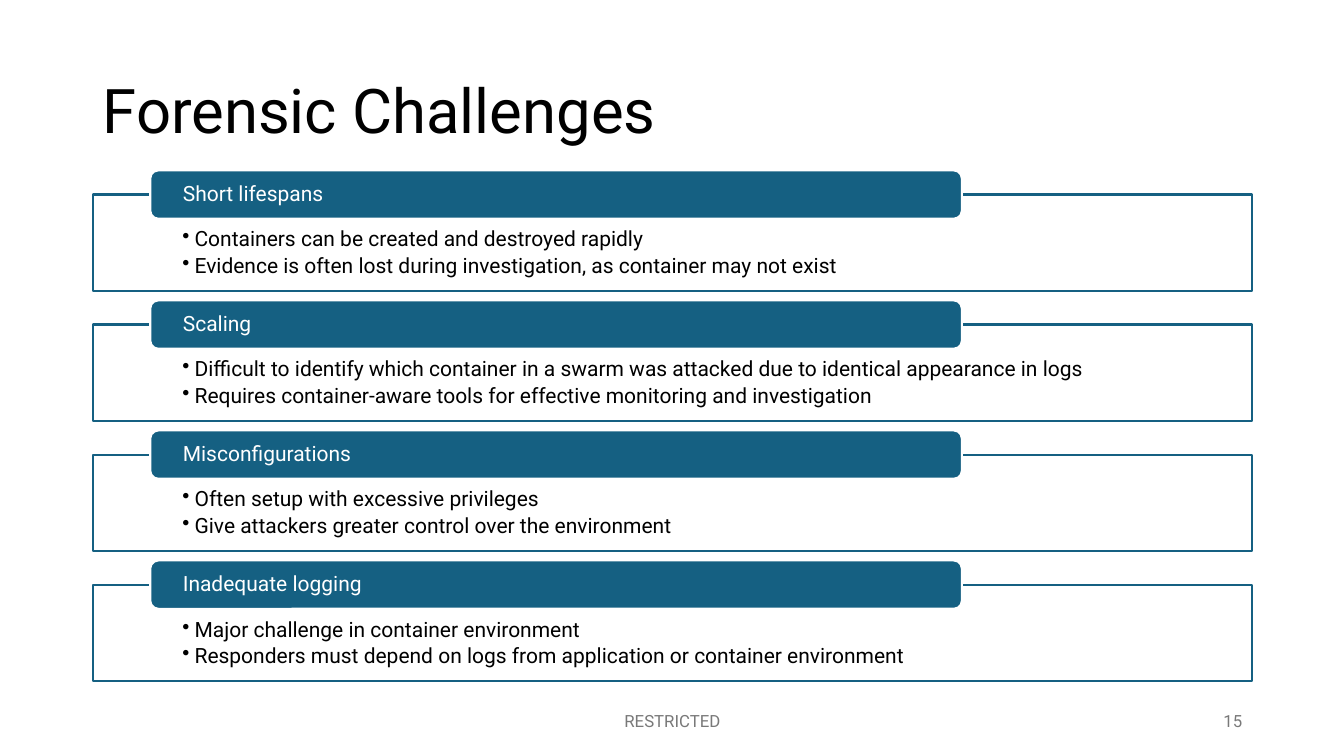
"""Build the Forensic Challenges slide with four titled panels."""
from dataclasses import dataclass

import lxml.etree
import pptx
import pptx.dml.color
import pptx.enum.shapes
import pptx.enum.text
import pptx.oxml.ns
import pptx.util

Inches = pptx.util.Inches
Pt = pptx.util.Pt
RGBColor = pptx.dml.color.RGBColor
Align = pptx.enum.text.PP_ALIGN
Anchor = pptx.enum.text.MSO_ANCHOR
Kind = pptx.enum.shapes.MSO_SHAPE
qn = pptx.oxml.ns.qn

BLUE = RGBColor(0x15, 0x60, 0x82)
WHITE = RGBColor(0xFF, 0xFF, 0xFF)
BLACK = RGBColor(0x00, 0x00, 0x00)
GREY = RGBColor(0x79, 0x79, 0x79)

FONT = "Roboto"
TOP = 1.93
PITCH = 1.29
RISE = 0.24


@dataclass(frozen=True)
class Box:
    left: float
    top: float
    width: float
    height: float


@dataclass(frozen=True)
class Label:
    text: str
    box: Box
    size: float
    color: RGBColor
    align: Align = Align.LEFT
    space: float = 1.0


@dataclass(frozen=True)
class Panel:
    head: str
    points: tuple[str, ...]


LABELS = (
    Label("Forensic Challenges", Box(0.92, 0.4, 11.5, 1.45), 44, BLACK, space=0.9),
    Label("RESTRICTED", Box(4.42, 6.95, 4.5, 0.4), 12, GREY, Align.CENTER),
    Label("15", Box(9.42, 6.95, 3, 0.4), 12, GREY, Align.RIGHT),
)

PANELS = (
    Panel("Short lifespans", (
        "Containers can be created and destroyed rapidly",
        "Evidence is often lost during investigation, as container may not exist",
    )),
    Panel("Scaling", (
        "Difficult to identify which container in a swarm was attacked "
        "due to identical appearance in logs",
        "Requires container-aware tools for effective monitoring and investigation",
    )),
    Panel("Misconfigurations", (
        "Often setup with excessive privileges",
        "Give attackers greater control over the environment",
    )),
    Panel("Inadequate logging", (
        "Major challenge in container environment",
        "Responders must depend on logs from application or container environment",
    )),
)


def place(box: Box) -> tuple:
    return tuple(Inches(n) for n in (box.left, box.top, box.width, box.height))


def write(frame, text: str, size: float, color: RGBColor,
          align: Align = Align.LEFT, space: float = 0.9) -> None:
    frame.word_wrap = True
    frame.text = text
    for line in frame.paragraphs:
        line.alignment = align
        line.line_spacing = space
        for run in line.runs:
            run.font.name = FONT
            run.font.size = Pt(size)
            run.font.color.rgb = color


def inset(frame, side: float, top: float, base: float) -> None:
    frame.margin_left = frame.margin_right = Inches(side)
    frame.margin_top = Inches(top)
    frame.margin_bottom = Inches(base)


def add_label(slide, label: Label) -> None:
    frame = slide.shapes.add_textbox(*place(label.box)).text_frame
    frame.vertical_anchor = Anchor.MIDDLE
    write(frame, label.text, label.size, label.color, label.align, label.space)


def add_block(slide, kind: Kind, box: Box, fill: RGBColor, edge: RGBColor):
    shape = slide.shapes.add_shape(kind, *place(box))
    shape.shadow.inherit = False
    shape.fill.solid()
    shape.fill.fore_color.rgb = fill
    shape.line.color.rgb = edge
    shape.line.width = Pt(1.5)
    return shape


def add_bullet(line) -> None:
    props = line._p.get_or_add_pPr()
    props.set("marL", str(Inches(0.12)))
    props.set("indent", str(-Inches(0.12)))
    line.space_after = Pt(2.7)
    lxml.etree.SubElement(props, qn("a:buChar"), char="•")


def add_panel(slide, panel: Panel, top: float) -> None:
    body = add_block(slide, Kind.RECTANGLE, Box(0.92, top, 11.5, 0.96), WHITE, BLUE)
    tint = body._element.spPr.find(qn("a:solidFill")).find(qn("a:srgbClr"))
    lxml.etree.SubElement(tint, qn("a:alpha"), val="90000")
    frame = body.text_frame
    inset(frame, 0.89, 0.34, 0.12)
    frame.vertical_anchor = Anchor.TOP
    write(frame, "\n".join(panel.points), 15, BLACK)
    for line in frame.paragraphs:
        add_bullet(line)

    tab = add_block(slide, Kind.ROUNDED_RECTANGLE,
                    Box(1.49, top - RISE, 8.05, 0.48), BLUE, WHITE)
    inset(tab.text_frame, 0.3, 0, 0)
    tab.text_frame.vertical_anchor = Anchor.MIDDLE
    write(tab.text_frame, panel.head, 15, WHITE)


def main() -> None:
    deck = pptx.Presentation()
    deck.slide_width = Inches(13.33)
    deck.slide_height = Inches(7.5)
    slide = deck.slides.add_slide(deck.slide_layouts[6])
    for label in LABELS:
        add_label(slide, label)
    for row, panel in enumerate(PANELS):
        add_panel(slide, panel, TOP + row * PITCH)
    deck.save("out.pptx")


if __name__ == "__main__":
    main()
